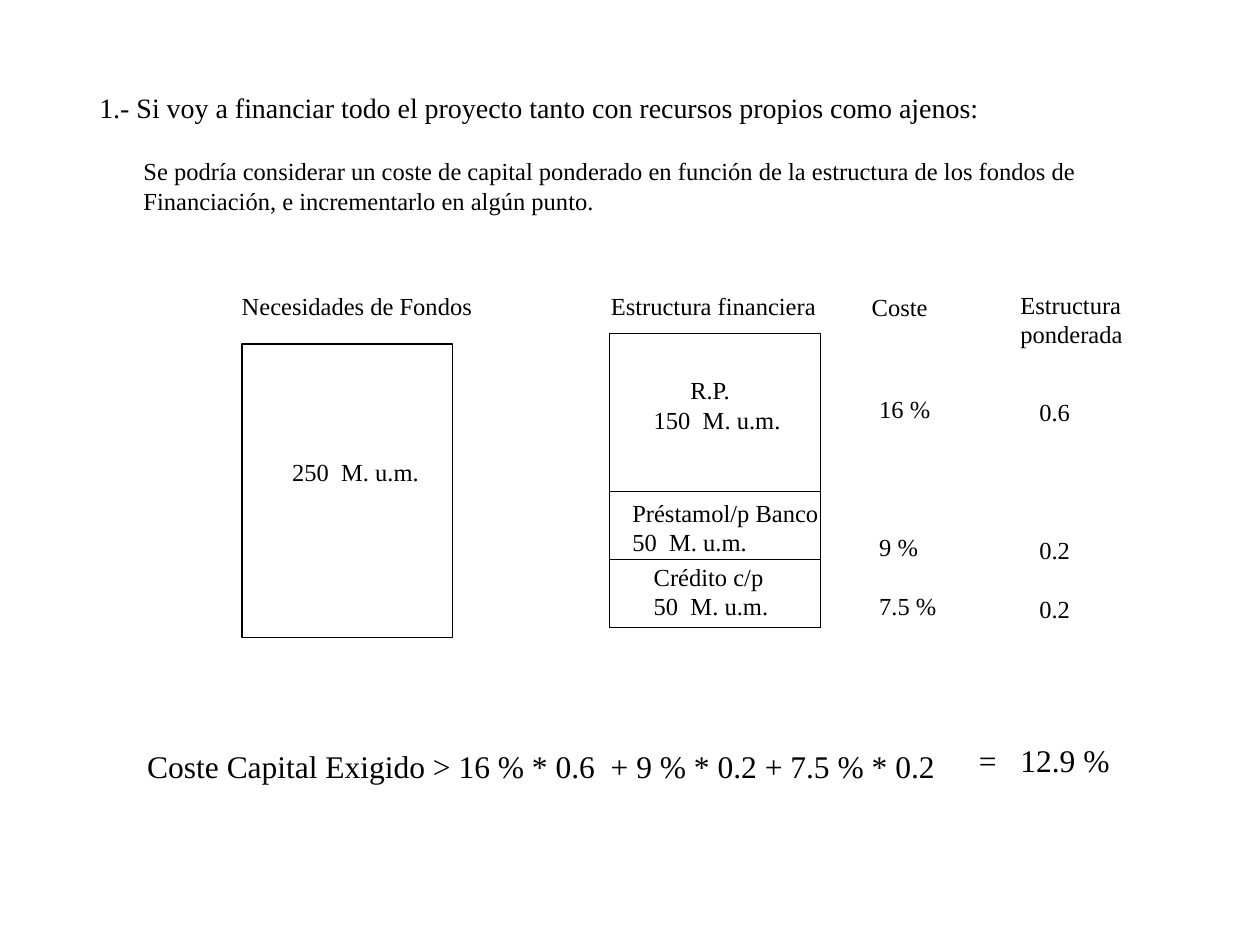
from dataclasses import dataclass

from lxml.etree import SubElement
from pptx import Presentation
from pptx.dml.color import RGBColor
from pptx.enum.shapes import MSO_CONNECTOR, MSO_SHAPE
from pptx.enum.text import MSO_AUTO_SIZE, PP_ALIGN
from pptx.oxml.ns import qn
from pptx.util import Inches, Pt


@dataclass(frozen=True)
class Theme:
    ink: RGBColor = RGBColor(0, 0, 0)
    font: str = "Times New Roman"
    heading: int = 16
    body: int = 14
    formula: int = 18
    rule: float = 0.75


class FinanceSlide:
    """Draws styled elements on the current slide or on one of its groups."""

    def __init__(self, slide, theme):
        self.theme = theme
        self.slide = slide
        self.shapes = slide.shapes

    def start_group(self):
        self.shapes = self.slide.shapes.add_group_shape().shapes

    def end_group(self):
        self.shapes = self.slide.shapes

    def text(self, left, top, width, height, *lines, size=None, gaps=None):
        label = self.shapes.add_textbox(*map(Inches, (left, top, width, height)))
        frame = label.text_frame
        frame.word_wrap = True
        frame.auto_size = MSO_AUTO_SIZE.SHAPE_TO_FIT_TEXT
        for index, line in enumerate(lines):
            paragraph = frame.paragraphs[0] if index == 0 else frame.add_paragraph()
            paragraph.alignment = PP_ALIGN.LEFT
            if gaps:
                paragraph.space_before = Pt(gaps[index])
            run = paragraph.add_run()
            run.text = line
            run.font.name = self.theme.font
            run.font.size = Pt(size or self.theme.body)
            run.font.color.rgb = self.theme.ink
        return frame.paragraphs

    def indent(self, paragraph, distance):
        paragraph._p.get_or_add_pPr().set("marL", str(Inches(distance)))

    def tab_stop(self, paragraph, distance):
        stops = SubElement(paragraph._p.get_or_add_pPr(), qn("a:tabLst"))
        SubElement(stops, qn("a:tab"), pos=str(Inches(distance)), algn="l")

    def box(self, left, top, width, height):
        block = self.shapes.add_shape(
            MSO_SHAPE.RECTANGLE, *map(Inches, (left, top, width, height)))
        block.shadow.inherit = False
        block.fill.background()
        self.outline(block.line)

    def divider(self, left, right, y):
        rule = self.shapes.add_connector(
            MSO_CONNECTOR.STRAIGHT, *map(Inches, (left, y, right, y)))
        self.outline(rule.line)
        SubElement(rule._element.spPr, qn("a:effectLst"))

    def outline(self, line):
        line.color.rgb = self.theme.ink
        line.width = Pt(self.theme.rule)


def main():
    deck = Presentation()
    deck.slide_width, deck.slide_height = Inches(10), Inches(7.5)
    theme = Theme()
    page = FinanceSlide(deck.slides.add_slide(deck.slide_layouts[6]), theme)

    page.text(0.69, 0.67, 7.3, 0.37,
              "1.- Si voy a financiar todo el proyecto tanto con recursos propios como ajenos:",
              size=theme.heading)
    page.text(1.04, 1.19, 7.75, 0.57,
              "Se podría considerar un coste de capital ponderado en función de la estructura de los fondos de",
              "Financiación, e incrementarlo en algún punto.")

    page.text(1.82, 2.26, 2.1, 0.34, "Necesidades de Fondos")
    page.text(4.75, 2.26, 1.9, 0.34, "Estructura financiera")
    page.text(6.82, 2.27, 0.75, 0.34, "Coste")
    page.text(8, 2.25, 1.1, 0.57, "Estructura", "ponderada")

    block_width, block_height = 1.67, 2.33
    page.start_group()
    page.box(1.92, 2.73, block_width, block_height)
    page.text(2.22, 3.58, 1.3, 0.34, "250  M. u.m.")

    structure_left = 4.84
    page.start_group()
    page.box(structure_left, 2.65, block_width, block_height)
    equity = page.text(5.09, 2.93, 1.3, 0.57, "R.P.", "150  M. u.m.")
    page.indent(equity[0], 0.29)
    page.text(4.92, 3.9, 1.91, 0.57, "Préstamol/p Banco", "50  M. u.m.")
    page.text(5.09, 4.41, 1.2, 0.57, "Crédito c/p", "50  M. u.m.")
    for y in (3.9, 4.44):
        page.divider(structure_left, structure_left + block_width, y)
    page.end_group()

    row_gaps = (0, 62, 17)
    page.text(6.88, 3.08, 0.8, 1.9, "16 %", "9 %", "7.5 %", gaps=row_gaps)
    page.text(8.15, 3.1, 0.6, 1.9, "0.6", "0.2", "0.2", gaps=row_gaps)

    page.text(1.07, 5.88, 6.58, 0.4,
              "Coste Capital Exigido > 16 % * 0.6  + 9 % * 0.2 + 7.5 % * 0.2",
              size=theme.formula)
    result = page.text(7.67, 5.83, 1.4, 0.4, "=\t12.9 %", size=theme.formula)
    page.tab_stop(result[0], 0.33)

    deck.save("out.pptx")


if __name__ == "__main__":
    main()
